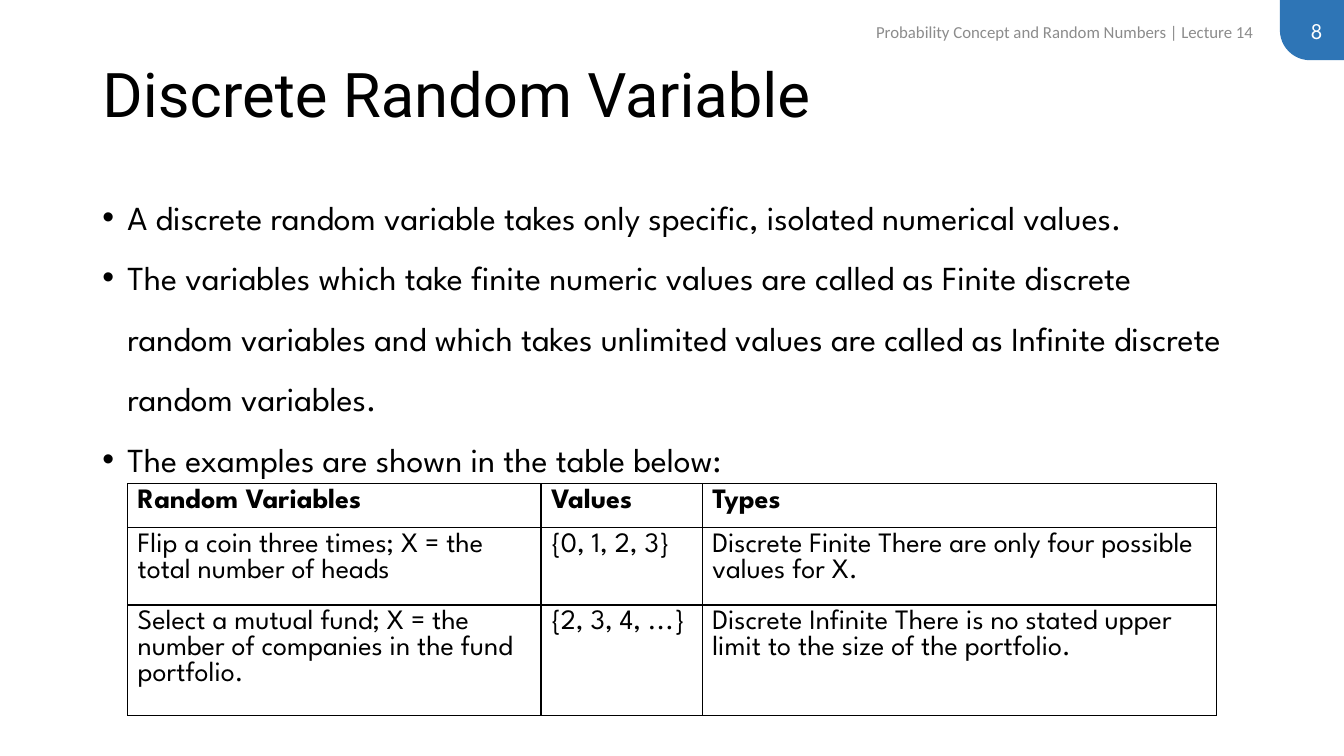
from dataclasses import dataclass
from typing import Optional

import pptx
import pptx.dml.color
import pptx.enum.shapes
import pptx.enum.text
import pptx.oxml
import pptx.oxml.ns
import pptx.util
from lxml import etree

Pt = pptx.util.Pt
ALIGN = pptx.enum.text.PP_ALIGN
ANCHOR = pptx.enum.text.MSO_ANCHOR


@dataclass(frozen=True)
class Theme:
    black: str = "000000"
    white: str = "FFFFFF"
    grey: str = "8C8C8C"
    blue: str = "2E75B6"
    title_font: str = "Roboto"
    body_font: str = "League Spartan"
    header_font: str = "Calibri"
    title_size: float = 44
    body_size: float = 24
    table_size: float = 20
    number_size: float = 16
    header_size: float = 12


@dataclass(frozen=True)
class Label:
    text: str
    box: tuple[float, float, float, float]
    font: str
    size: float
    color: str


THEME = Theme()
LABELS = [
    Label("Probability Concept and Random Numbers | Lecture 14", (578.6, 8, 324, 29),
          THEME.header_font, THEME.header_size, THEME.grey),
    Label("8", (906, 7.2, 46, 29), THEME.body_font, THEME.number_size, THEME.white),
]
BULLETS = [
    "A discrete random variable takes only specific, isolated numerical values.",
    "The variables which take finite numeric values are called as Finite discrete random "
    "variables and which takes unlimited values are called as Infinite discrete random variables.",
    "The examples are shown in the table below:",
]
ROWS = [
    ("Random Variables", "Values", "Types"),
    ("Flip a coin three times; X = the total number of heads", "{0, 1, 2, 3}",
     "Discrete Finite There are only four possible values for X."),
    ("Select a mutual fund; X = the number of companies in the fund portfolio.", "{2, 3, 4, ...}",
     "Discrete Infinite There is no stated upper limit to the size of the portfolio."),
]
COLUMN_WIDTHS = (295.2, 115.2, 367.2)
ROW_HEIGHT = 29


def place(box: tuple) -> list:
    return [Pt(v) for v in box]


def write(p, text: str, *, font: str = THEME.body_font, size: float = THEME.body_size,
          color: str = THEME.black, bold: bool = False, align=ALIGN.LEFT,
          spacing: Optional[float] = None) -> None:
    p.alignment = align
    p.line_spacing = spacing
    p.space_before = p.space_after = Pt(0)
    r = p.add_run()
    r.text = text
    r.font.name, r.font.size, r.font.bold = font, Pt(size), bold
    r.font.color.rgb = pptx.dml.color.RGBColor.from_string(color)


def add_bullet(p, indent: float) -> None:
    pPr = p._p.get_or_add_pPr()
    pPr.set("marL", str(Pt(indent)))
    pPr.set("indent", str(Pt(-indent)))
    for tag, key, value in (("a:buFont", "typeface", "Arial"), ("a:buChar", "char", "•")):
        etree.SubElement(pPr, pptx.oxml.ns.qn(tag)).set(key, value)


def add_text_box(s, box: tuple, anchor):
    tf = s.shapes.add_textbox(*place(box)).text_frame
    tf.word_wrap = True
    tf.vertical_anchor = anchor
    return tf


def add_borders(cell, color: str, width: float) -> None:
    tcPr = cell._tc.get_or_add_tcPr()
    for side in ("lnL", "lnR", "lnT", "lnB"):
        tcPr.append(pptx.oxml.parse_xml(
            f'<a:{side} {pptx.oxml.ns.nsdecls("a")} w="{Pt(width)}"><a:solidFill>'
            f'<a:srgbClr val="{color}"/></a:solidFill></a:{side}>'))


def add_page_tab(s) -> None:
    sp = s.shapes.add_shape(pptx.enum.shapes.MSO_SHAPE.ROUND_1_RECTANGLE,
                            *place((914.2, 0, 45.8, 43)))
    sp.rotation = 180
    sp.adjustments[0] = 0.5
    sp.shadow.inherit = False
    sp.fill.solid()
    sp.fill.fore_color.rgb = pptx.dml.color.RGBColor.from_string(THEME.blue)
    sp.line.fill.background()


def add_title(s, text: str) -> None:
    sp = s.shapes.title
    sp.left, sp.top, sp.width, sp.height = place((66, 28.75, 828, 82))
    tf = sp.text_frame
    tf.word_wrap = True
    tf.vertical_anchor = ANCHOR.MIDDLE
    write(tf.paragraphs[0], text, font=THEME.title_font, size=THEME.title_size, spacing=0.9)


def add_bullets(s) -> None:
    tf = add_text_box(s, (66, 122.4, 828, 387.4), ANCHOR.TOP)
    for i, text in enumerate(BULLETS):
        p = tf.add_paragraph() if i else tf.paragraphs[0]
        add_bullet(p, 18)
        write(p, text, spacing=1.5)


def add_examples_table(s) -> None:
    box = (91.2, 345.6, sum(COLUMN_WIDTHS), ROW_HEIGHT * len(ROWS))
    table = s.shapes.add_table(len(ROWS), len(COLUMN_WIDTHS), *place(box)).table
    table.first_row = table.horz_banding = False
    for column, width in zip(table.columns, COLUMN_WIDTHS):
        column.width = Pt(width)
    for i, (row, texts) in enumerate(zip(table.rows, ROWS)):
        for cell, text in zip(row.cells, texts):
            add_borders(cell, THEME.black, 1)
            cell.fill.background()
            write(cell.text_frame.paragraphs[0], text, size=THEME.table_size, bold=i == 0)


def main() -> None:
    prs = pptx.Presentation()
    prs.slide_width, prs.slide_height = Pt(960), Pt(540)
    s = prs.slides.add_slide(prs.slide_layouts[5])

    # Title and body
    add_page_tab(s)
    add_title(s, "Discrete Random Variable")
    add_bullets(s)

    # Running header and page number
    for label in LABELS:
        tf = add_text_box(s, label.box, ANCHOR.MIDDLE)
        write(tf.paragraphs[0], label.text, font=label.font, size=label.size,
              color=label.color, align=ALIGN.RIGHT)

    # Examples
    add_examples_table(s)
    prs.save("out.pptx")


if __name__ == "__main__":
    main()
